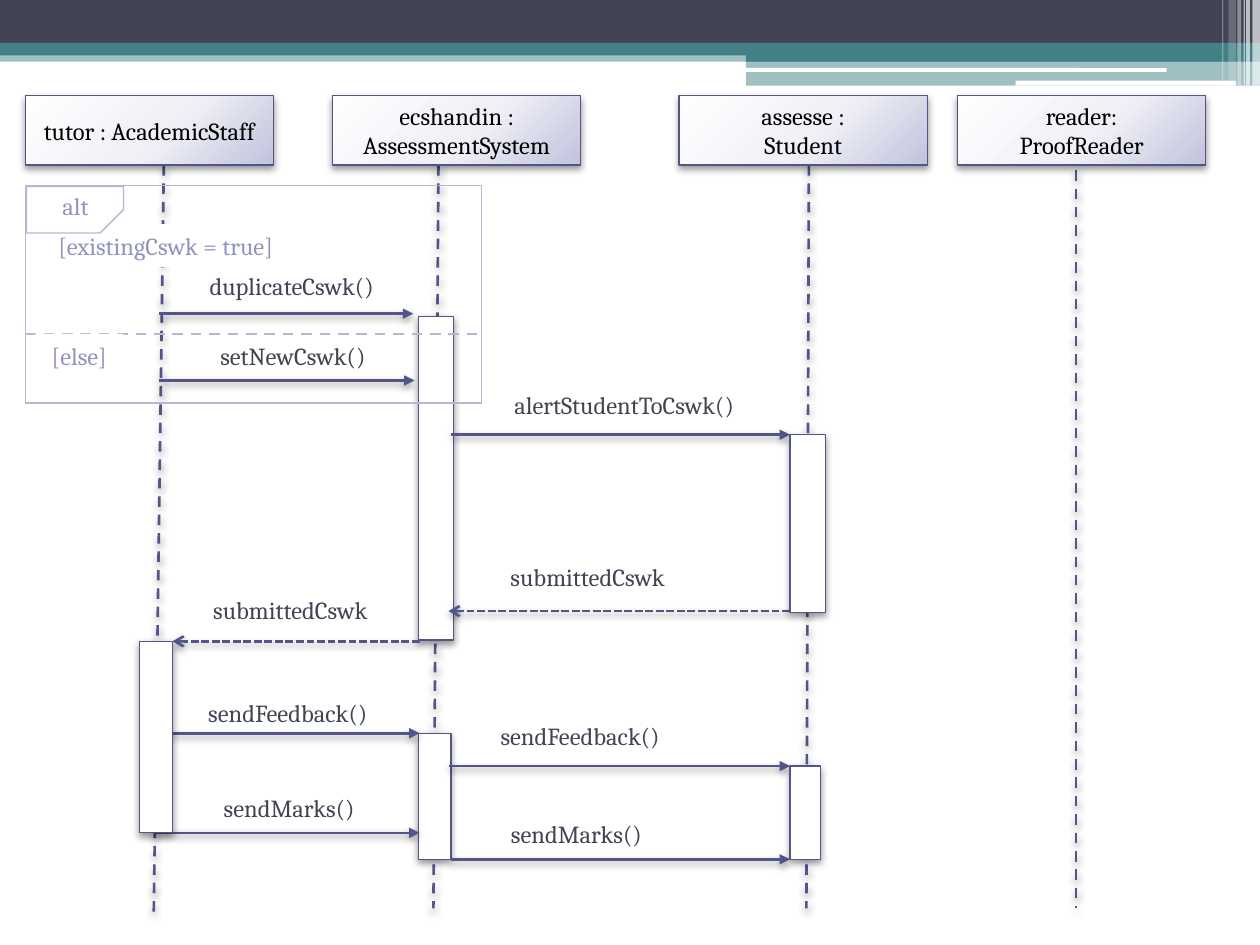
from lxml.etree import SubElement
from pptx import Presentation
from pptx.dml.color import RGBColor
from pptx.enum.dml import MSO_LINE
from pptx.enum.shapes import MSO_CONNECTOR, MSO_SHAPE
from pptx.enum.text import MSO_ANCHOR, PP_ALIGN
from pptx.oxml import parse_xml
from pptx.oxml.ns import nsdecls, qn
from pptx.util import Inches, Pt

COLORS = {"dark": "424456", "teal": "438086", "white": "FFFFFF", "line": "53548A",
          "frame": "B7B7D4", "guard": "9394BE", "black": "000000"}
FONT = {"name": "Cambria", "size": Pt(14)}
HEAD_TOP, HEAD_W, HEAD_H = 0.76, 1.97, 0.55
LABEL_H = 0.34
HEAD_STOPS = [(0, "FEFEFE"), (55, "F0F1F7"), (100, "C2C2DD")]

BANDS = [
    (0, 0.4, 10, 0.09, "teal", 50), (0, 0, 10, 0.34, "dark", 100),
    (0, 0.34, 10, 0.1, "teal", 100), (5.92, 0.39, 4.08, 0.1, "teal", 100),
    (5.92, 0.48, 4.08, 0.2, "teal", 50),
]
PILLS = [(5.91, 0.54, 3.35, 0.03), (8.06, 0.64, 1.75, 0.04)]
STRIPES = [(9.94, 0.06, 0.68, 65), (9.89, 0.03, 0.68, 65), (9.87, 0.01, 0.68, 60),
           (9.82, 0.03, 0.68, 40), (9.75, 0.06, 0.64, 20), (9.7, 0.01, 0.64, 30)]

PARTICIPANTS = [
    (["tutor : AcademicStaff"], 0.2, (1.3, 1.31, 1.22, 7.29)),
    (["ecshandin : AssessmentSystem"], 2.64, (3.48, 1.31, 3.44, 7.21)),
    (["assesse :", "Student"], 5.39, (6.42, 1.31, 6.4, 7.21)),
    (["reader:", "ProofReader"], 7.6, (8.54, 1.35, 8.54, 7.21)),
]
SYSTEM_BARS = [(3.32, 2.51, 0.28, 2.57), (3.32, 5.82, 0.26, 1)]
OTHER_BARS = [(6.27, 3.45, 0.28, 1.41), (6.27, 6.08, 0.24, 0.74), (1.11, 5.09, 0.26, 1.52)]

# text, from x, to x, y, label left, label top, label width
CALLS = [
    ("duplicateCswk()", 1.26, 3.28, 2.49, 1.29, 2.1, 2.05),
    ("setNewCswk()", 1.26, 3.29, 3.02, 1.3, 2.65, 2.05),
    ("alertStudentToCswk()", 3.58, 6.27, 3.45, 3.88, 3.04, 2.15),
    ("sendFeedback()", 1.22, 3.33, 5.82, 1.26, 5.49, 2.05),
    ("sendFeedback()", 3.56, 6.27, 6.08, 3.58, 5.67, 2.05),
    ("sendMarks()", 1.22, 3.33, 6.61, 1.27, 6.24, 2.05),
    ("sendMarks()", 3.58, 6.27, 6.82, 3.55, 6.45, 2.05),
]
REPLIES = [
    ("submittedCswk", 6.27, 3.56, 4.85, 3.61, 4.41, 2.11),
    ("submittedCswk", 3.33, 1.37, 5.09, 1.23, 4.67, 2.15),
]
FRAME = (0.2, 1.47, 3.62, 1.73)
FRAME_TAB = (0.21, 1.48, 0.77, 0.37)
GUARDS = [("[else]", 0.28, 2.65, 0.7), ("[existingCswk = true]", 0.29, 1.78, 2.05)]

prs = Presentation()
prs.slide_width, prs.slide_height = Inches(10), Inches(7.5)
slide = prs.slides.add_slide(prs.slide_layouts[6])
shapes = slide.shapes


def rgb(key):
    return RGBColor.from_string(COLORS[key])


def add_shadow(sp):
    sp._element.spPr.append(parse_xml(
        f'<a:effectLst {nsdecls("a")}><a:outerShdw blurRad="{Pt(4.1)}" dist="{Pt(2)}" '
        'dir="5400000" rotWithShape="0"><a:srgbClr val="000000"><a:alpha val="40000"/>'
        '</a:srgbClr></a:outerShdw></a:effectLst>'))


def add_box(box, fill=None, line=None, alpha=100, shadow=False, kind=MSO_SHAPE.RECTANGLE):
    sp = shapes.add_shape(kind, *map(Inches, box))
    if fill:
        sp.fill.solid()
        sp.fill.fore_color.rgb = rgb(fill)
        if alpha < 100:
            clr = sp._element.spPr.find(qn("a:solidFill"))[0]
            SubElement(clr, qn("a:alpha")).set("val", str(alpha * 1000))
    else:
        sp.fill.background()
    if line:
        sp.line.color.rgb = rgb(line)
        sp.line.width = Pt(0.75)
    else:
        sp.line.fill.background()
    if shadow:
        add_shadow(sp)
    else:
        sp.shadow.inherit = False
    return sp


def write(sp, lines, color):
    tf = sp.text_frame
    tf.word_wrap = True
    tf.vertical_anchor = MSO_ANCHOR.MIDDLE
    for i, text in enumerate(lines):
        p = tf.paragraphs[0] if i == 0 else tf.add_paragraph()
        p.alignment = PP_ALIGN.CENTER
        r = p.add_run()
        r.text = text
        for attr, value in FONT.items():
            setattr(r.font, attr, value)
        r.font.color.rgb = rgb(color)


def add_label(text, left, top, width, color="dark"):
    write(shapes.add_textbox(*map(Inches, (left, top, width, LABEL_H))), [text], color)


def add_line(ends, color="line", dash=None, arrow=None, shadow=True):
    cn = shapes.add_connector(MSO_CONNECTOR.STRAIGHT, *map(Inches, ends))
    cn.line.color.rgb = rgb(color)
    cn.line.width = Pt(1.5)
    if dash:
        cn.line.dash_style = dash
    if arrow:
        SubElement(cn.line._get_or_add_ln(), qn("a:tailEnd")).set("type", arrow)
    if shadow:
        add_shadow(cn)
    else:
        SubElement(cn._element.spPr, qn("a:effectLst"))


def add_head(lines, left):
    sp = add_box((left, HEAD_TOP, HEAD_W, HEAD_H), line="line", shadow=True)
    stops = "".join(f'<a:gs pos="{pos * 1000}"><a:srgbClr val="{c}"/></a:gs>'
                    for pos, c in HEAD_STOPS)
    spPr = sp._element.spPr
    spPr.replace(spPr.find(qn("a:noFill")), parse_xml(
        f'<a:gradFill {nsdecls("a")} rotWithShape="1"><a:gsLst>{stops}</a:gsLst>'
        '<a:path path="circle"><a:fillToRect l="-40000" t="-90000" r="140000" b="190000"/>'
        '</a:path></a:gradFill>'))
    write(sp, lines, "black")


for *box, color, alpha in BANDS:
    add_box(box, color, alpha=alpha)
for box in PILLS:
    add_box(box, "white", kind=MSO_SHAPE.ROUNDED_RECTANGLE)
for left, width, height, alpha in STRIPES:
    add_box((left, 0, width, height), "white", alpha=alpha)

for lines, left, lifeline in PARTICIPANTS:
    add_line(lifeline, dash=MSO_LINE.DASH)
    add_head(lines, left)

for box in SYSTEM_BARS:
    add_box(box, "white", "line", shadow=True)
for messages, dash, arrow in ((CALLS, None, "triangle"),
                              (REPLIES, MSO_LINE.SQUARE_DOT, "arrow")):
    for text, x1, x2, y, *label in messages:
        add_line((x1, y, x2, y), dash=dash, arrow=arrow)
        add_label(text, *label)
for box in OTHER_BARS:
    add_box(box, "white", "line", shadow=True)

add_box(FRAME, line="frame")
left, top, width, height = FRAME
add_line((left, 2.65, left + width, 2.65), "frame", MSO_LINE.DASH, shadow=False)
for text, left, top, width in GUARDS:
    write(add_box((left, top, width, LABEL_H), "white"), [text], "guard")
tab = add_box(FRAME_TAB, "white", "frame", kind=MSO_SHAPE.SNIP_1_RECTANGLE)
tab.adjustments[0] = 0.5
tab._element.spPr.find(qn("a:xfrm")).set("flipV", "1")
add_label("alt", 0.2, 1.46, 0.8, "guard")

prs.save("out.pptx")
